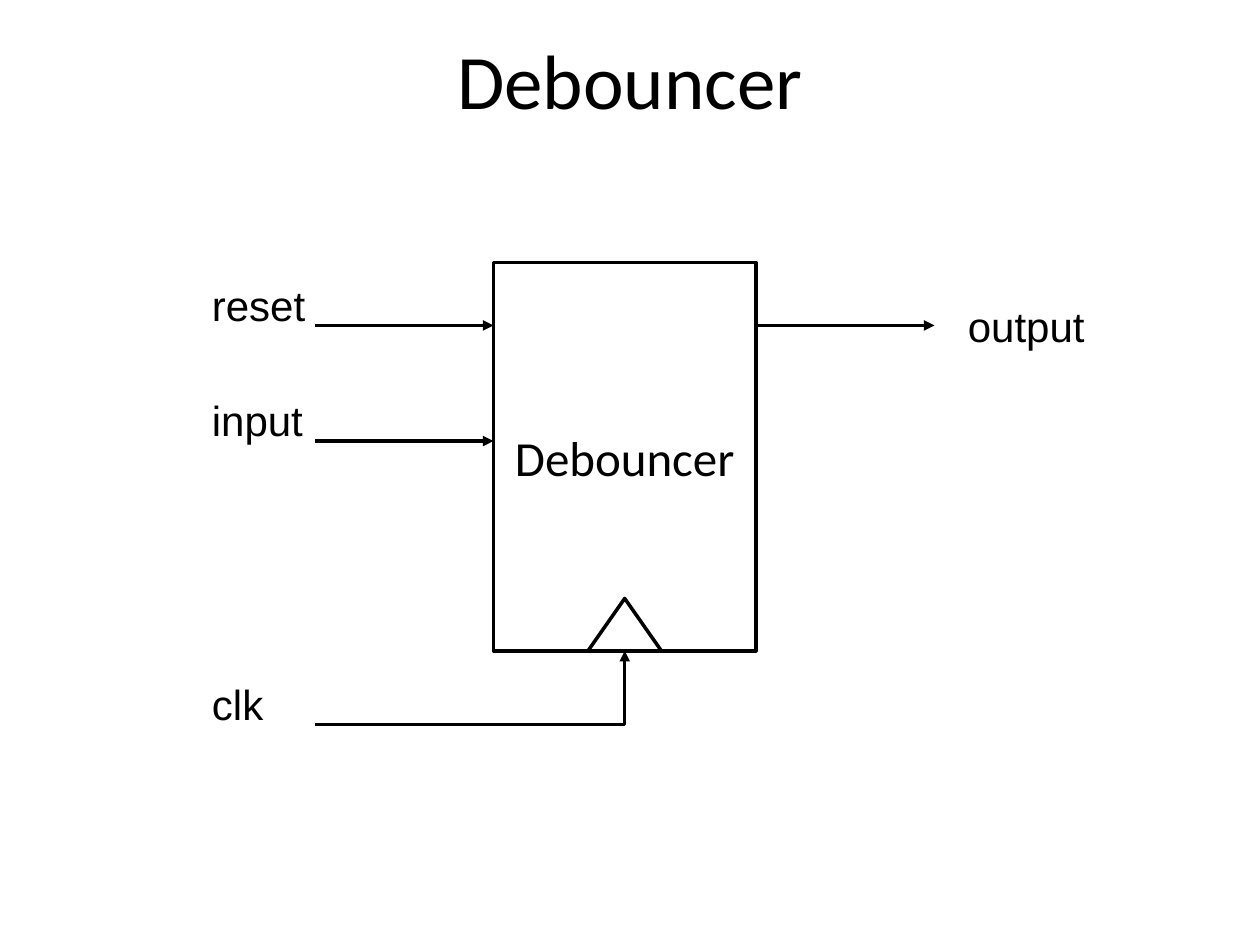
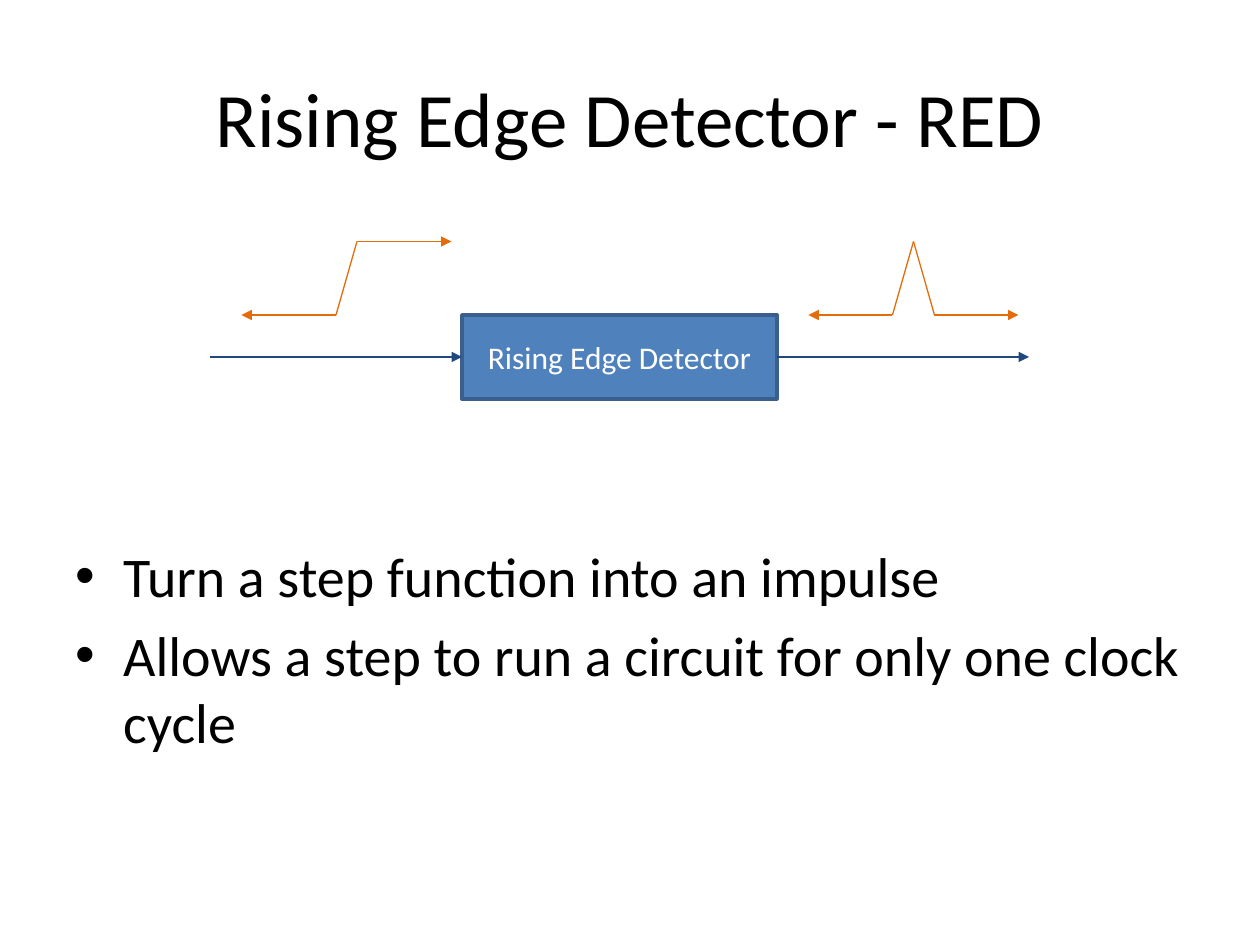
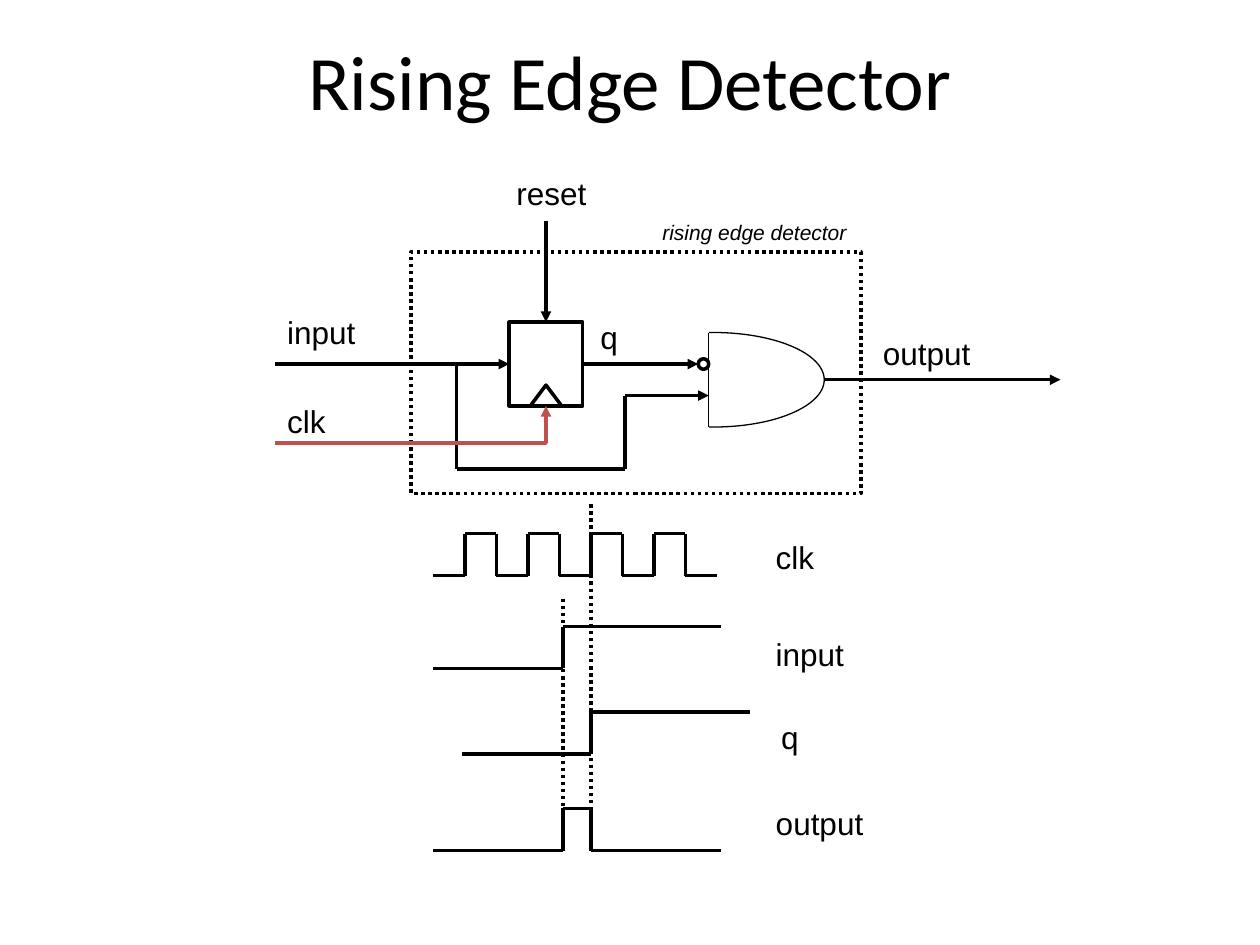
from lxml.etree import SubElement
from pptx import Presentation
from pptx.dml.color import RGBColor
from pptx.enum.dml import MSO_LINE as Dash
from pptx.enum.shapes import MSO_CONNECTOR as Conn, MSO_SHAPE as Kind
from pptx.enum.text import MSO_ANCHOR as Anchor, MSO_AUTO_SIZE as Auto, PP_ALIGN as Align
from pptx.oxml.ns import qn
from pptx.util import Inches, Pt

CELL = Inches(1) / 12  # the slide is a grid of 120 columns and 90 rows
COLS, ROWS = 120, 90
BLACK, WHITE, BLUE, EDGE = "000000", "FFFFFF", "4F81BD", "3A5F8C"
NAVY, ORANGE, RED = "1F497D", "E46C0A", "C0504D"
THICK, THIN = 2, 0.75
SPANS = {"reset": 0.38, "input": 0.37, "clk": 0.21, "output": 0.47, "q": 0.09,
         "rising edge detector": 1.48}  # label width in cells per point of text
hue = RGBColor.from_string


def box(slide, kind, x, y, w, h, text="", size=18, font="Calibri", ink=BLACK,
        fill=None, edge=BLACK, width=THICK, dash=None, align=Align.CENTER):
    """Add a preset shape, or a text box when kind is None."""
    place = [round(n * CELL) for n in (x, y, w, h)]
    if kind is None:
        item = slide.shapes.add_textbox(*place)
    else:
        item = slide.shapes.add_shape(kind, *place)
        item.shadow.inherit = False
        item.line.color.rgb = hue(edge)
        item.line.width = Pt(width)
        if dash:
            item.line.dash_style = dash
        if fill:
            item.fill.solid()
            item.fill.fore_color.rgb = hue(fill)
        else:
            item.fill.background()
    frame = item.text_frame
    frame.word_wrap = True
    frame.vertical_anchor = Anchor.MIDDLE
    for i, words in enumerate(text.split("\n") if text else []):
        para = frame.add_paragraph() if i else frame.paragraphs[0]
        para.alignment = align
        run = para.add_run()
        run.text = words
        run.font.name = font
        run.font.size = Pt(size)
        run.font.color.rgb = hue(ink)
    return item


def wire(slide, points, color=BLACK, width=THICK, head=False, tail=False,
         dash=None, kind=Conn.STRAIGHT):
    """Chain connectors through points, with arrowheads at the outer ends."""
    links = []
    for start, end in zip(points, points[1:]):
        link = slide.shapes.add_connector(
            kind, *[round(n * CELL) for n in (*start, *end)])
        link.line.color.rgb = hue(color)
        link.line.width = Pt(width)
        if dash:
            link.line.dash_style = dash
        props = link._element.spPr
        ln = props.find(qn("a:ln"))
        if head and not links:
            SubElement(ln, qn("a:headEnd"), type="triangle")
        if tail and end == points[-1]:
            SubElement(ln, qn("a:tailEnd"), type="triangle")
        SubElement(props, qn("a:effectLst"))
        if kind == Conn.ELBOW:
            props.find(qn("a:prstGeom")).set("prst", "bentConnector2")
        links.append(link)
    return links


deck = Presentation()
deck.slide_width, deck.slide_height = round(COLS * CELL), round(ROWS * CELL)
slides = []
for title, top in (("Debouncer", 0), ("Rising Edge Detector - RED", 3.6),
                   ("Rising Edge Detector", 0.1)):
    slide = deck.slides.add_slide(deck.slide_layouts[6])
    box(slide, None, 6, top, 108, 15, title, 44)
    slides.append(slide)
block, edge, logic = slides

# Debouncer block
box(block, Kind.RECTANGLE, 47, 25, 25, 37, "Debouncer", 28)
box(block, Kind.ISOSCELES_TRIANGLE, 56, 57, 7, 5)
wire(block, [(30, 69), (59.5, 62)], tail=True, kind=Conn.ELBOW)
for x, y in ((30, 31), (30, 42), (72, 31)):
    wire(block, [(x, y), (x + 17, y)], tail=True)

# Step turned into an impulse
unit = box(edge, Kind.RECTANGLE, 44, 30, 30, 8, "Rising Edge Detector",
           ink=WHITE, fill=BLUE, edge=EDGE)
wire(edge, [(20, 34), (44, 34)], NAVY, THIN, tail=True)[0].end_connect(unit, 1)
wire(edge, [(74, 34), (98, 34)], NAVY, THIN, tail=True)[0].begin_connect(unit, 3)
step = [(23, 30), (32, 30), (34, 23), (43, 23)]
pulse = [(77, 30), (85, 30), (87, 23), (89, 30), (97, 30)]
for shape in (step, pulse):
    wire(edge, shape, ORANGE, THIN, head=True, tail=True)

notes = box(edge, None, 6, 51, 108, 29.4,
            "Turn a step function into an impulse\n"
            "Allows a step to run a circuit for only one clock cycle",
            32, align=Align.LEFT).text_frame
notes.vertical_anchor = Anchor.TOP
for para in notes.paragraphs:
    para.space_before = Pt(6.4)
    props = para._p.get_or_add_pPr()
    props.set("marL", str(Inches(0.38)))
    props.set("indent", str(-Inches(0.38)))
    SubElement(props, qn("a:buFont"), typeface="Arial")
    SubElement(props, qn("a:buChar"), char="•")

# Circuit: flip-flop, inverted input and gate
box(logic, Kind.RECTANGLE, 39.17, 24, 42.83, 23, dash=Dash.ROUND_DOT)
flip = box(logic, Kind.RECTANGLE, 48.5, 30.67, 7, 8)
box(logic, Kind.ISOSCELES_TRIANGLE, 50.5, 36.67, 3, 2)
box(logic, Kind.OVAL, 66.5, 34.17, 1, 1)
wire(logic, [(26.17, 34.67), (48.5, 34.67)], tail=True)[0].end_connect(flip, 1)
wire(logic, [(55.5, 34.67), (66.5, 34.67)], tail=True)[0].begin_connect(flip, 3)
wire(logic, [(52, 21), (52, 30.67)], tail=True)[0].end_connect(flip, 0)
wire(logic, [(43.5, 34.67), (43.5, 44.67), (59.5, 44.67), (59.5, 37.67),
             (67.5, 37.67)], tail=True)
wire(logic, [(26.17, 42.2), (52, 38.67)], RED, tail=True, kind=Conn.ELBOW)
wire(logic, [(67.5, 31.67), (67.5, 40.67)], width=THIN)
for start, end in ((158.22, 0), (0, 57.78)):
    arc = box(logic, Kind.ARC, 57.5, 31.67, 21, 9, width=THIN)
    arc.adjustments[0], arc.adjustments[1] = start, end
wire(logic, [(78.5, 36.17), (101, 36.17)], tail=True)

# Timing diagram
LEFT, RIGHT, RISE, TICK, TALL, HALF = 41.28, 68.64, 53.64, 56.28, 4, 3
clock = [(LEFT, 54.83)]
for i in range(9):
    x, y = LEFT + (i + 1) * HALF, 54.83 - i % 2 * TALL
    clock.append((x, y))
    if i < 8:
        clock.append((x, 54.83 - (i + 1) % 2 * TALL))
wire(logic, clock)
for left, rise, right, low in ((LEFT, RISE, RIGHT, 63.67),
                               (44.04, TICK, 71.4, 71.83)):
    high = low - TALL
    wire(logic, [(left, low), (rise, low), (rise, high), (right, high)])
wire(logic, [(LEFT, 81), (RISE, 81), (RISE, 77), (TICK, 77), (TICK, 81), (RIGHT, 81)])
for x, y in ((TICK, 48), (RISE, 57)):
    wire(logic, [(x, y), (x, 77)], dash=Dash.ROUND_DOT)

# Signal names
labels = (
    (block, 24, [("reset", 19, 26), ("input", 19, 37), ("clk", 19, 64),
                 ("output", 91, 28)]),
    (logic, 18, [("input", 26.17, 29.25), ("clk", 26.17, 37.67),
                 ("output", 82.9, 31.2), ("reset", 48, 16), ("q", 56, 29.67),
                 ("clk", 72.7, 50.67), ("input", 72.7, 59.9),
                 ("q", 73.2, 67.8), ("output", 72.7, 76)]),
    (logic, 12, [("rising edge detector", 61.9, 20.3)]),
)
for slide, size, names in labels:
    for name, x, y in names:
        frame = box(slide, None, x, y, 2.4 + SPANS[name] * size, 1.2 + size / 5,
                    name, size, "Arial", align=Align.LEFT).text_frame
        frame.word_wrap = False
        frame.auto_size = Auto.SHAPE_TO_FIT_TEXT
        frame.vertical_anchor = Anchor.TOP
        frame.paragraphs[0].runs[0].font.italic = size == 12

deck.save("out.pptx")
